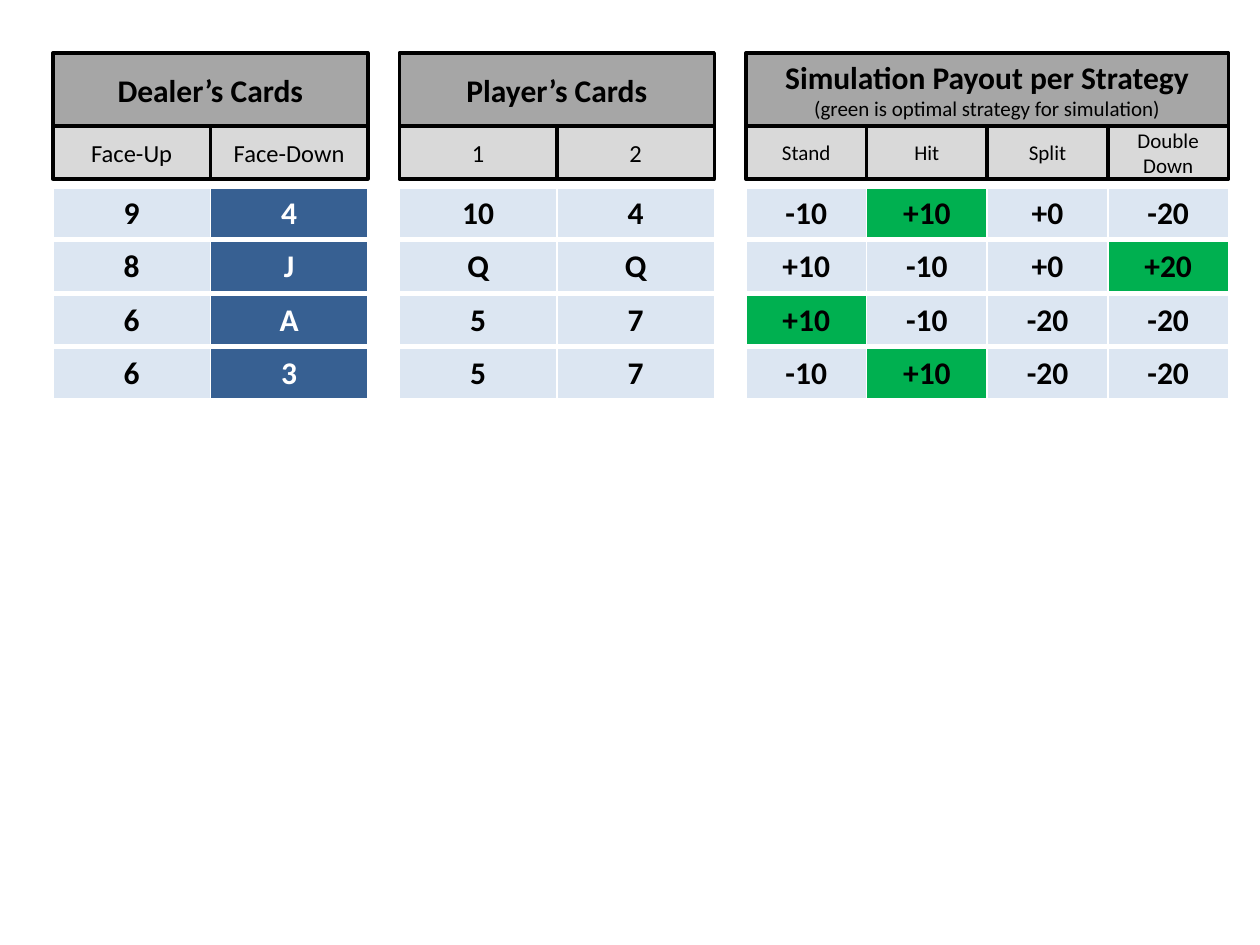
from dataclasses import dataclass

from lxml.etree import SubElement
from pptx import Presentation
from pptx.dml.color import RGBColor as RGB
from pptx.enum.shapes import MSO_SHAPE as Shape
from pptx.enum.text import MSO_ANCHOR as Anchor, PP_ALIGN as Align
from pptx.oxml.ns import qn
from pptx.util import Inches, Pt


@dataclass(frozen=True)
class Theme:
    font: str = "Calibri"
    black: str = "000000"
    white: str = "FFFFFF"
    title_fill: str = "A6A6A6"
    label_fill: str = "D9D9D9"
    cell_fill: str = "DCE6F2"
    hidden_fill: str = "376092"
    optimal_fill: str = "00B050"
    large: int = 18
    medium: int = 14
    small: int = 12
    outline: int = 2


THEME = Theme()

# Layout in inches
LEFT, GAP = 0.42, 0.25
TITLE_TOP, TITLE_HEIGHT = 0.42, 0.58
LABEL_TOP, LABEL_HEIGHT = 1, 0.42
HAND_TOP, HAND_HEIGHT, HAND_PITCH = 1.49, 0.41, 0.425
BORDERS = {"a:lnL": 1, "a:lnR": 1, "a:lnT": 1, "a:lnB": 3}

# Header groups: title, subtitle, width, label size, column labels
GROUPS = [
    ("Dealer’s Cards", None, 2.5, THEME.medium, ["Face-Up", "Face-Down"]),
    ("Player’s Cards", None, 2.5, THEME.medium, ["1", "2"]),
    ("Simulation Payout per Strategy", "(green is optimal strategy for simulation)",
     3.83, THEME.small, ["Stand", "Hit", "Split", "Double Down"]),
]

# Hands: dealer's cards, player's cards, payouts, optimal payout index
HANDS = [
    (["9", "4"], ["10", "4"], ["-10", "+10", "+0", "-20"], 1),
    (["8", "J"], ["Q", "Q"], ["+10", "-10", "+0", "+20"], 3),
    (["6", "A"], ["5", "7"], ["+10", "-10", "-20", "-20"], 0),
    (["6", "3"], ["5", "7"], ["-10", "+10", "-20", "-20"], 1),
]


def apply_format(target, values):
    for name, value in values.items():
        setattr(target, name, value)


def paint(fill, color):
    fill.solid()
    fill.fore_color.rgb = RGB.from_string(color)


def write_line(paragraph, text, size, bold=False, color=THEME.black):
    paragraph.alignment = Align.CENTER
    run = paragraph.add_run()
    run.text = text
    apply_format(run.font, {"name": THEME.font, "size": Pt(size), "bold": bold})
    run.font.color.rgb = RGB.from_string(color)


def add_box(slide, left, top, width, height, fill, lines):
    box = slide.shapes.add_shape(
        Shape.RECTANGLE, Inches(left), Inches(top), Inches(width), Inches(height))
    box.shadow.inherit = False
    paint(box.fill, fill)
    paint(box.line.fill, THEME.black)
    box.line.width = Pt(THEME.outline)
    frame = box.text_frame
    apply_format(frame, {"word_wrap": True, "vertical_anchor": Anchor.MIDDLE})
    for index, line in enumerate(lines):
        paragraph = frame.add_paragraph() if index else frame.paragraphs[0]
        write_line(paragraph, *line)


def add_header(slide, left, title, subtitle, width, label_size, labels):
    lines = [(title, THEME.large, True)]
    if subtitle:
        lines.append((subtitle, THEME.small))
    add_box(slide, left, TITLE_TOP, width, TITLE_HEIGHT, THEME.title_fill, lines)
    label_width = width / len(labels)
    for index, label in enumerate(labels):
        add_box(slide, left + index * label_width, LABEL_TOP, label_width,
                LABEL_HEIGHT, THEME.label_fill, [(label, label_size)])


def add_borders(cell):
    properties = cell._tc.get_or_add_tcPr()
    for position, (tag, width) in enumerate(BORDERS.items()):
        border = SubElement(properties, qn(tag), w=str(Pt(width)))
        solid = SubElement(border, qn("a:solidFill"))
        SubElement(solid, qn("a:srgbClr"), val=THEME.white)
        properties.insert(position, border)  # borders precede the fill


def column_widths():
    widths = []
    for _, _, width, _, labels in GROUPS:
        if widths:
            widths.append(GAP)
        widths += [width / len(labels)] * len(labels)
    return widths


def hand_cells(dealer, player, payouts, optimal):
    """Return (text, fill, text color) for each cell of a hand."""
    plain = (THEME.cell_fill, THEME.black)
    gap = ("", THEME.white, THEME.black)
    face_up, face_down = dealer
    return [
        (face_up, *plain), (face_down, THEME.hidden_fill, THEME.white), gap,
        *[(card, *plain) for card in player], gap,
        *[(payout, THEME.optimal_fill if index == optimal else THEME.cell_fill,
           THEME.black) for index, payout in enumerate(payouts)],
    ]


def add_hand(slide, top, hand):
    widths = column_widths()
    table = slide.shapes.add_table(
        1, len(widths), Inches(LEFT), Inches(top),
        Inches(sum(widths)), Inches(HAND_HEIGHT)).table
    apply_format(table, {"first_row": False, "horz_banding": False})
    for column, width in zip(table.columns, widths):
        column.width = Inches(width)
    for cell, (text, fill, color) in zip(table.rows[0].cells, hand_cells(*hand)):
        cell.vertical_anchor = Anchor.MIDDLE
        paint(cell.fill, fill)
        add_borders(cell)
        if text:
            write_line(cell.text_frame.paragraphs[0], text, THEME.large, True, color)


def main():
    deck = Presentation()
    apply_format(deck, {"slide_width": Inches(10), "slide_height": Inches(7.5)})
    slide = deck.slides.add_slide(deck.slide_layouts[6])

    # Column headers
    left = LEFT
    for group in GROUPS:
        add_header(slide, left, *group)
        left += group[2] + GAP

    # One table per hand
    for index, hand in enumerate(HANDS):
        add_hand(slide, HAND_TOP + index * HAND_PITCH, hand)

    deck.save("out.pptx")


main()
